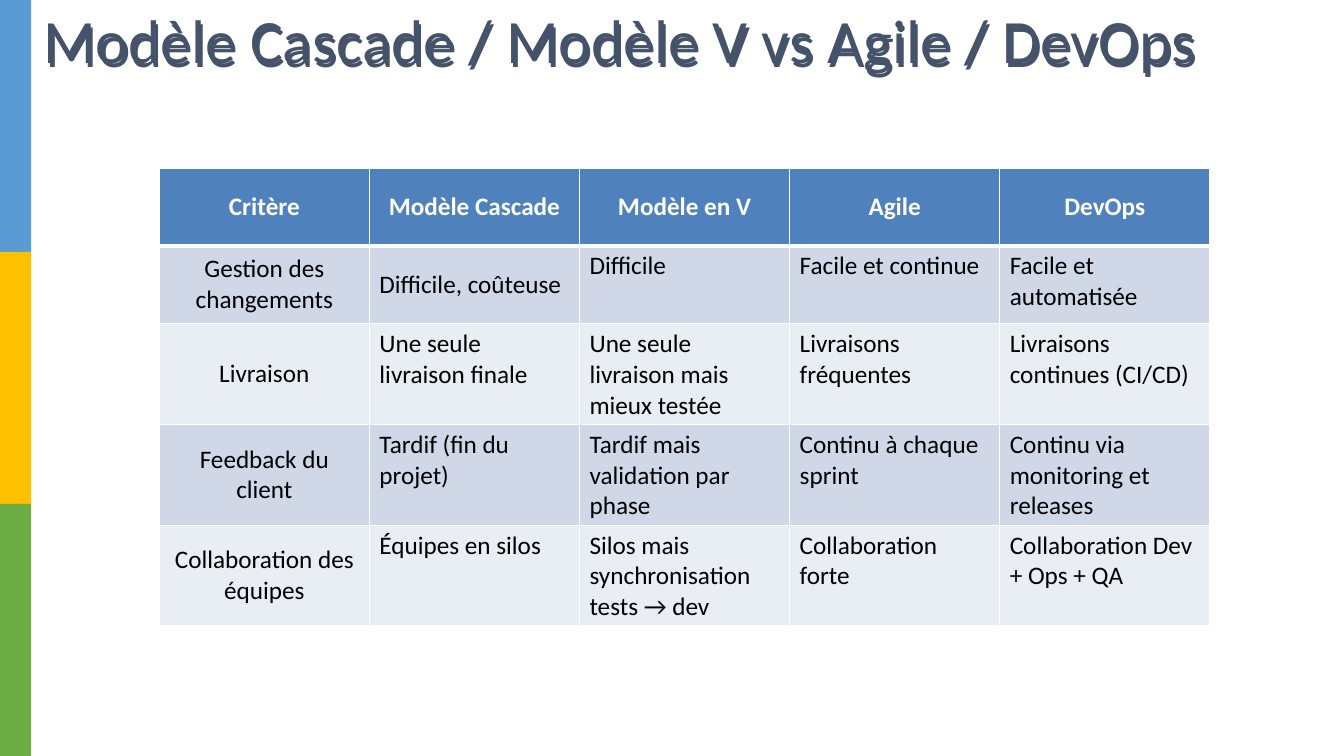
from lxml import etree
from pptx import Presentation
from pptx.dml.color import RGBColor
from pptx.enum.shapes import MSO_SHAPE
from pptx.enum.text import MSO_ANCHOR, PP_ALIGN
from pptx.oxml.ns import qn
from pptx.util import Inches, Pt

RECTANGLE = MSO_SHAPE.RECTANGLE
MIDDLE, TOP = MSO_ANCHOR.MIDDLE, MSO_ANCHOR.TOP
CENTER, LEFT = PP_ALIGN.CENTER, PP_ALIGN.LEFT

FONT = "Calibri"
TITLE = "Modèle Cascade / Modèle V vs Agile / DevOps"
BAND_COLORS = ["5B9BD3", "FFC000", "6EAC46"]
ROW_FILLS = ["D0D8E8", "E9EDF4"]
COMPARISON = [
    ["Critère", "Modèle Cascade", "Modèle en V", "Agile", "DevOps"],
    ["Gestion des changements", "Difficile, coûteuse", "Difficile",
     "Facile et continue", "Facile et automatisée"],
    ["Livraison", "Une seule livraison finale",
     "Une seule livraison mais mieux testée",
     "Livraisons fréquentes", "Livraisons continues (CI/CD)"],
    ["Feedback du client", "Tardif (fin du projet)",
     "Tardif mais validation par phase",
     "Continu à chaque sprint", "Continu via monitoring et releases"],
    ["Collaboration des équipes", "Équipes en silos",
     "Silos mais synchronisation tests → dev",
     "Collaboration forte", "Collaboration Dev + Ops + QA"],
]


def color(value):
    return RGBColor.from_string(value)


def add_span(para, text, size, font_color, bold=False):
    span = para.add_run()
    span.text = text
    span.font.name = FONT
    span.font.size = Pt(size)
    span.font.bold = bold
    span.font.color.rgb = color(font_color)


def add_side_bands(page, left, top, width, height):
    band_height = height / len(BAND_COLORS)
    for index, fill in enumerate(BAND_COLORS):
        band = page.shapes.add_shape(
            RECTANGLE, Inches(left), Inches(top + index * band_height),
            Inches(width), Inches(band_height))
        band.shadow.inherit = False
        band.fill.solid()
        band.fill.fore_color.rgb = color(fill)
        band.line.fill.background()


def add_title(page, left, top, width, height):
    box = page.shapes.add_textbox(
        Inches(left), Inches(top), Inches(width), Inches(height))
    frame = box.text_frame
    frame.word_wrap = True
    frame.margin_left = Inches(0.03)
    frame.margin_top = Inches(0.06)
    frame.margin_right = frame.margin_bottom = 0
    add_span(frame.paragraphs[0], TITLE, 44, "44526A")


def set_borders(cell, widths):
    properties = cell._tc.get_or_add_tcPr()
    for index, (side, width) in enumerate(widths.items()):
        line = etree.Element(qn(f"a:{side}"), w=str(Pt(width)))
        fill = etree.SubElement(line, qn("a:solidFill"))
        etree.SubElement(fill, qn("a:srgbClr"), val="FFFFFF")
        properties.insert(index, line)


def add_comparison(page, left, top, width, row_height):
    row_count, column_count = len(COMPARISON), len(COMPARISON[0])
    table = page.shapes.add_table(
        row_count, column_count, Inches(left), Inches(top),
        Inches(width), Inches(row_height * row_count)).table
    for row, texts in enumerate(COMPARISON):
        header = row == 0
        for column, text in enumerate(texts):
            cell = table.cell(row, column)
            cell.fill.solid()
            cell.fill.fore_color.rgb = color(
                "4F81BD" if header else ROW_FILLS[(row - 1) % 2])
            centered = header or column == 0
            middle = centered or (row, column) == (1, 1)
            cell.vertical_anchor = MIDDLE if middle else TOP
            para = cell.text_frame.paragraphs[0]
            para.alignment = CENTER if centered else LEFT
            add_span(para, text, 18, "FFFFFF" if header else "000000", header)
            set_borders(cell, {"lnL": 1, "lnR": 1,
                               "lnT": 3 if row == 1 else 1,
                               "lnB": 3 if header else 1})


def main():
    deck = Presentation()
    deck.slide_width, deck.slide_height = Inches(13.33), Inches(7.5)
    page = deck.slides.add_slide(deck.slide_layouts[6])
    add_side_bands(page, 0, 0, 0.31, 7.5)
    add_title(page, 0.4, -0.04, 12.4, 0.8)
    add_comparison(page, 1.58, 1.67, 10.42, 0.77)
    add_title(page, 0.42, 0, 12.4, 0.8)
    deck.save("out.pptx")


if __name__ == "__main__":
    main()
